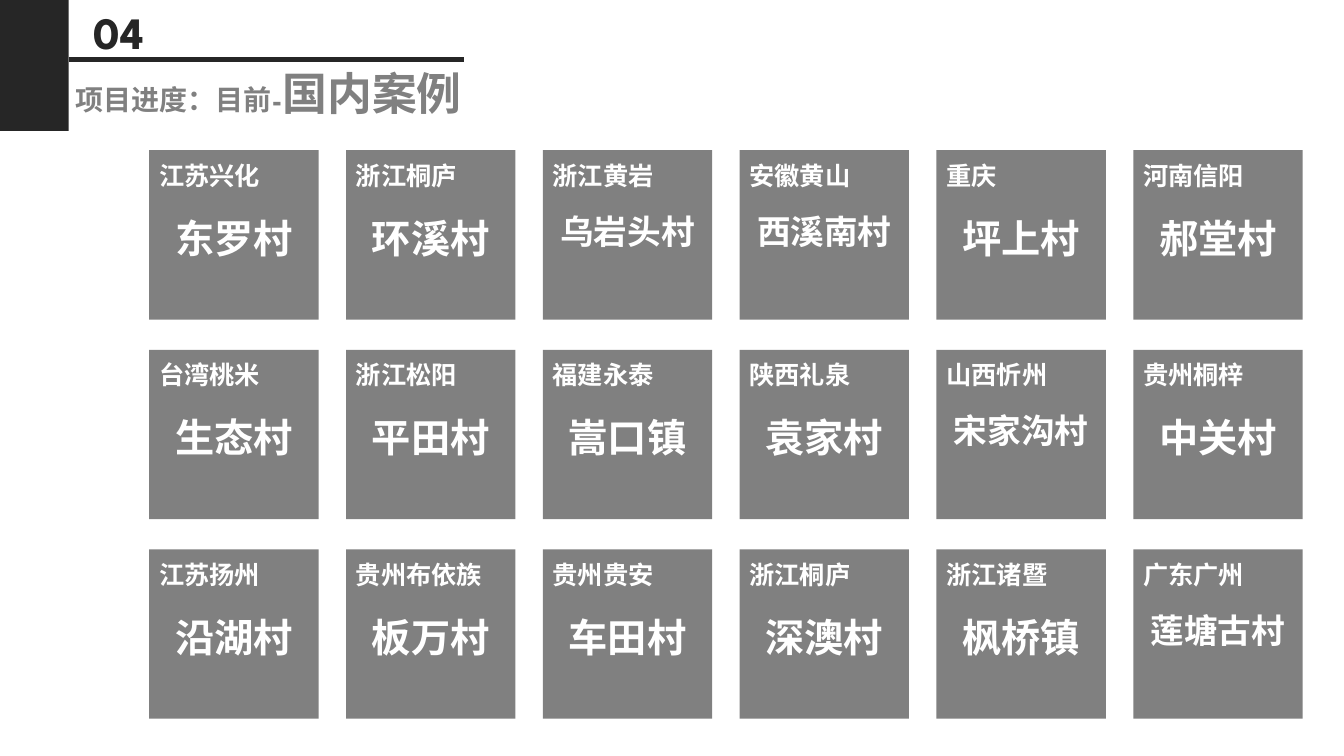
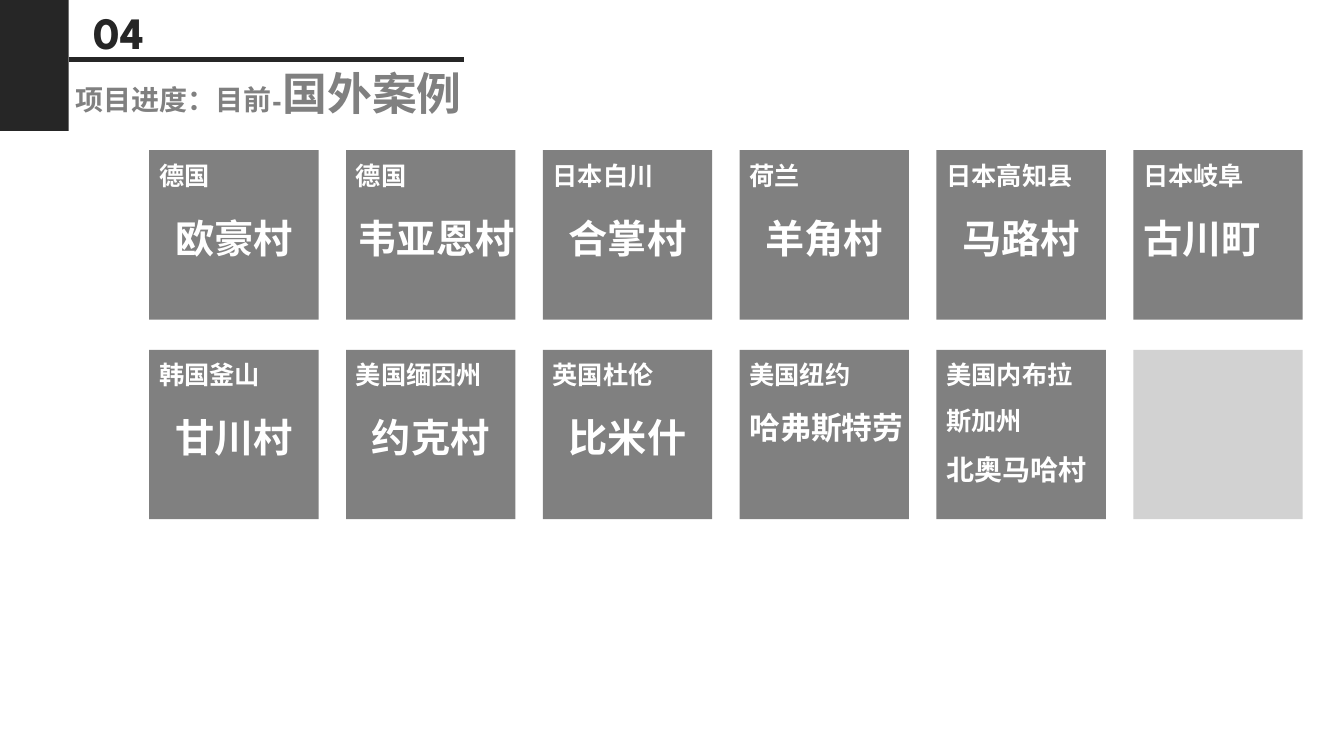
import pptx
import pptx.dml.color
import pptx.enum.lang
import pptx.enum.shapes
import pptx.enum.text
import pptx.oxml.ns
import pptx.util
from lxml import etree

Inches = pptx.util.Inches
RGBColor = pptx.dml.color.RGBColor
LEFT = pptx.enum.text.PP_ALIGN.LEFT
CENTER = pptx.enum.text.PP_ALIGN.CENTER

BLACK = RGBColor(0x26, 0x26, 0x26)
GRAY = RGBColor(0x80, 0x80, 0x80)
EMPTY_GRAY = RGBColor(0x7F, 0x7F, 0x7F)
WHITE = RGBColor(0xFF, 0xFF, 0xFF)

HEADING_FONT = "League Spartan"
CHINESE_FONT = "Noto Sans CJK SC"

COLUMNS = 6
GRID_LEFT, GRID_TOP = 1.48, 1.49
COLUMN_STEP, ROW_STEP = 1.952, 1.98
TILE_SIZE = 1.68
EMPTY_TILE = None

# Each tile: place, village, then village size and alignment where they differ.
DOMESTIC_CASES = [
    ("江苏兴化", "东罗村"), ("浙江桐庐", "环溪村"), ("浙江黄岩", "乌岩头村", 24),
    ("安徽黄山", "西溪南村", 24), ("重庆", "坪上村"), ("河南信阳", "郝堂村"),
    ("台湾桃米", "生态村"), ("浙江松阳", "平田村"), ("福建永泰", "嵩口镇"),
    ("陕西礼泉", "袁家村"), ("山西忻州", "宋家沟村", 24), ("贵州桐梓", "中关村"),
    ("江苏扬州", "沿湖村"), ("贵州布依族", "板万村"), ("贵州贵安", "车田村"),
    ("浙江桐庐", "深澳村"), ("浙江诸暨", "枫桥镇"), ("广东广州", "莲塘古村", 24),
]
FOREIGN_CASES = [
    ("德国", "欧豪村"), ("德国", "韦亚恩村"), ("日本白川", "合掌村"),
    ("荷兰", "羊角村"), ("日本高知县", "马路村"), ("日本岐阜", "古川町", 28, LEFT),
    ("韩国釜山", "甘川村"), ("美国缅因州", "约克村"), ("英国杜伦", "比米什"),
    ("美国纽约", "哈弗斯特劳", 22, LEFT),
    ("美国内布拉斯加州", "北奥马哈村", 20, LEFT), EMPTY_TILE,
]


def add_block(page, left, top, width, height, color, opacity=100):
    """Add a plain rectangle; opacity is a percentage."""
    block = page.shapes.add_shape(
        pptx.enum.shapes.MSO_SHAPE.RECTANGLE,
        Inches(left), Inches(top), Inches(width), Inches(height))
    block.shadow.inherit = False
    block.line.fill.background()
    block.fill.solid()
    block.fill.fore_color.rgb = color
    if opacity < 100:
        color_element = block.fill._xPr.find(".//" + pptx.oxml.ns.qn("a:srgbClr"))
        alpha = etree.SubElement(color_element, pptx.oxml.ns.qn("a:alpha"))
        alpha.set("val", str(opacity * 1000))


def add_text(page, left, top, width, height, paragraphs, font_name, color, spacing):
    """Add a text box; each paragraph is (alignment, [(text, size), ...])."""
    box = page.shapes.add_textbox(
        Inches(left), Inches(top), Inches(width), Inches(height))
    frame = box.text_frame
    frame.word_wrap = True
    for index, (alignment, spans) in enumerate(paragraphs):
        para = frame.add_paragraph() if index else frame.paragraphs[0]
        para.alignment = alignment
        para.line_spacing = spacing
        for text, size in spans:
            span = para.add_run()
            span.text = text
            span.font.name = font_name
            span.font.size = pptx.util.Pt(size)
            span.font.bold = True
            span.font.color.rgb = color
            span.font.language_id = pptx.enum.lang.MSO_LANGUAGE_ID.SIMPLIFIED_CHINESE
            east_asian = etree.SubElement(
                span.font._element, pptx.oxml.ns.qn("a:ea"))
            east_asian.set("typeface", CHINESE_FONT)


def add_header(page, topic):
    add_block(page, 0, 0, 0.68, 1.3, BLACK)
    rule = page.shapes.add_connector(
        pptx.enum.shapes.MSO_CONNECTOR.STRAIGHT,
        Inches(0.68), Inches(0.59), Inches(4.6), Inches(0.59))
    rule.line.color.rgb = BLACK
    rule.line.width = pptx.util.Pt(3)
    etree.SubElement(rule._element.spPr, pptx.oxml.ns.qn("a:effectLst"))
    add_text(page, 0.83, 0, 0.73, 0.64, [(LEFT, [("04", 32)])],
             HEADING_FONT, BLACK, 1.0)
    add_text(page, 0.65, 0.66, 5.57, 0.64,
             [(LEFT, [("项目进度：目前-", 20), (topic, 32)])],
             HEADING_FONT, GRAY, 0.9)


def add_tile(page, left, top, place, village, size=28, alignment=CENTER):
    add_block(page, left, top, TILE_SIZE, TILE_SIZE, GRAY)
    # Long names need a text box slightly wider than the tile to stay on one line.
    text_width = max(TILE_SIZE, len(village) * size / 72 + 0.23)
    add_text(page, left, top - 0.1, text_width, 1.26,
             [(LEFT, [(place, 18)]), (alignment, [(village, size)])],
             CHINESE_FONT, WHITE, 1.5)


def add_case_slide(deck, topic, cases):
    page = deck.slides.add_slide(deck.slide_layouts[6])
    add_header(page, topic)
    for index, case in enumerate(cases):
        row, column = divmod(index, COLUMNS)
        left = GRID_LEFT + column * COLUMN_STEP
        top = GRID_TOP + row * ROW_STEP
        if case is EMPTY_TILE:
            add_block(page, left, top, TILE_SIZE, TILE_SIZE, EMPTY_GRAY, 35)
        else:
            add_tile(page, left, top, *case)


def main():
    deck = pptx.Presentation()
    deck.slide_width = Inches(13.33)
    deck.slide_height = Inches(7.5)
    add_case_slide(deck, "国内案例", DOMESTIC_CASES)
    add_case_slide(deck, "国外案例", FOREIGN_CASES)
    deck.save("out.pptx")


if __name__ == "__main__":
    main()
